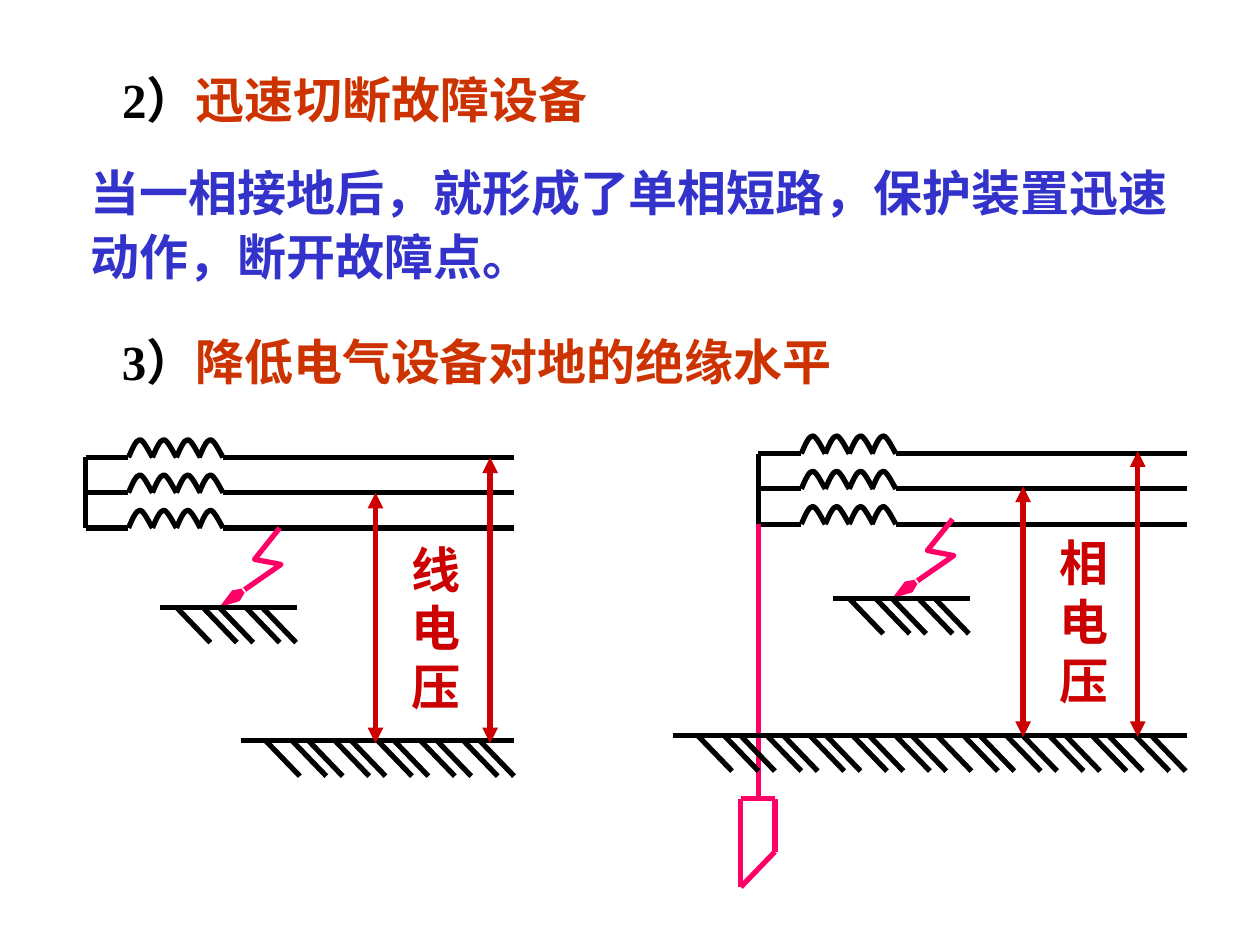
import itertools
from dataclasses import dataclass

import pptx
import pptx.dml.color
import pptx.enum.shapes
import pptx.enum.text
import pptx.oxml.ns
import pptx.util
from lxml import etree

PX = 9144  # EMU in one px, 100 px to the inch


@dataclass(frozen=True)
class Theme:
    font: str = "Times New Roman"
    text_size: int = 28
    line_width: int = 3
    number: str = "000000"
    heading: str = "CC3300"
    body: str = "3333CC"
    wire: str = "000000"
    fault: str = "FF0066"
    voltage: str = "CC0000"


TRIANGLE = {"type": "triangle"}
FLASH_TIP = {"type": "arrow", "w": "sm", "len": "lg"}


def add_xml(parent, tag, **attributes):
    return etree.SubElement(parent, pptx.oxml.ns.qn(tag), **attributes)


class SlideBuilder:
    def __init__(self, slide, theme):
        self.slide = slide
        self.theme = theme
        self.target = slide.shapes

    def start_group(self):
        self.target = self.slide.shapes.add_group_shape().shapes

    # Text
    def text(self, box, at, parts, space_before=0, line_spacing=1.0):
        """Fill a box with one paragraph made of (text, colour) parts."""
        box.left, box.top, box.width, box.height = (v * PX for v in at)
        frame = box.text_frame
        frame.word_wrap = True
        frame.vertical_anchor = pptx.enum.text.MSO_ANCHOR.TOP
        frame.auto_size = pptx.enum.text.MSO_AUTO_SIZE.SHAPE_TO_FIT_TEXT
        paragraph = frame.paragraphs[0]
        paragraph.alignment = pptx.enum.text.PP_ALIGN.LEFT
        paragraph.space_before = pptx.util.Pt(space_before)
        paragraph.line_spacing = line_spacing
        for words, color in parts:
            run = paragraph.add_run()
            run.text = words
            run.font.name = self.theme.font
            run.font.size = pptx.util.Pt(self.theme.text_size)
            run.font.bold = True
            run.font.color.rgb = pptx.dml.color.RGBColor.from_string(color)
        return paragraph

    def text_box(self, at, parts, **spacing):
        box = self.target.add_textbox(0, 0, PX, PX)
        self.text(box, at, parts, **spacing)

    def heading(self, box, top, number, words):
        parts = [(number, self.theme.number), (words, self.theme.heading)]
        self.text(box, (87, top, 913, 57), parts)

    def body(self, at, words):
        paragraph = self.text(self.slide.placeholders[1], at,
                              [(words, self.theme.body)],
                              space_before=7, line_spacing=1.1)
        properties = paragraph._p.get_or_add_pPr()
        properties.set("marL", "0")
        properties.set("indent", "0")
        add_xml(properties, "a:buNone")

    # Lines
    def stroke(self, shape, color, head=None, tail=None):
        shape.line.color.rgb = pptx.dml.color.RGBColor.from_string(color)
        shape.line.width = pptx.util.Pt(self.theme.line_width)
        outline = shape.element.spPr.find(pptx.oxml.ns.qn("a:ln"))
        for tag, arrow in (("a:headEnd", head), ("a:tailEnd", tail)):
            if arrow:
                add_xml(outline, tag, **arrow)
        add_xml(shape.element.spPr, "a:effectLst")

    def line(self, x1, y1, x2, y2, color, **ends):
        wire = self.target.add_connector(
            pptx.enum.shapes.MSO_CONNECTOR.STRAIGHT,
            x1 * PX, y1 * PX, x2 * PX, y2 * PX)
        self.stroke(wire, color, **ends)

    def path_line(self, x, y, offsets, color, **ends):
        start, *rest = [((x + dx) * PX, (y + dy) * PX) for dx, dy in offsets]
        builder = self.target.build_freeform(*start)
        builder.add_line_segments(rest, close=False)
        outline = builder.convert_to_shape()
        outline.fill.background()
        self.stroke(outline, color, **ends)
        return outline

    # Circuit parts
    def winding_turn(self, x, y):
        """One arch, 19 px wide and 14 px high, made of two Bezier curves."""
        points = [(0, 0), (3, -7), (6, -14), (9, -14),
                  (12, -14), (17, -3), (19, 0)]
        arch = self.path_line(x, y, points, self.theme.wire)
        segments = list(arch.element.iter(pptx.oxml.ns.qn("a:lnTo")))
        outline = segments[0].getparent()
        for first in (0, 3):
            curve = add_xml(outline, "a:cubicBezTo")
            for segment in segments[first:first + 3]:
                curve.append(segment[0])
                outline.remove(segment)

    def windings(self, x, y):
        """Three phases, each with a coil, joined at the neutral point."""
        for phase in range(3):
            level = y + 28 * phase
            for turn in range(4):
                self.winding_turn(x + 34 + round(18.75 * turn), level)
            self.line(x, level, x + 34, level, self.theme.wire)
            self.line(x + 109, level, x + 340, level, self.theme.wire)
        self.line(x, y, x, y + 56, self.theme.wire)

    def ground(self, x, y, width, first, count):
        self.line(x, y, x + width, y, self.theme.wire)
        for i in range(count):
            hatch = x + first + 34 * (i // 2) + 21 * (i % 2)
            self.line(hatch, y, hatch + 27, y + 28, self.theme.wire)

    def earth_fault(self, x, y):
        """Flash from a phase at (x, y) down to a short piece of ground."""
        bolt = [(0, 0), (-20, 25), (1, 29), (-48, 63)]
        self.path_line(x, y, bolt, self.theme.fault, tail=FLASH_TIP)
        self.ground(x - 95, y + 63, 109, 13, 5)

    def voltages(self, x, y, name):
        """Two measuring arrows with the name of the voltage between them."""
        for dx, dy in ((0, 28), (91, 0)):
            self.line(x + dx, y + dy, x + dx, y + 227, self.theme.voltage,
                      head=TRIANGLE, tail=TRIANGLE)
        self.text_box((x + 19, y + 60, 49, 150),
                      [(name, self.theme.voltage)], space_before=17.5)

    def earth_electrode(self, x, y):
        self.line(x, y, x, y + 218, self.theme.fault)
        rod = [(-14, 218), (13, 218), (13, 260), (-14, 288), (-14, 218)]
        for (ax, ay), (bx, by) in itertools.pairwise(rod):
            self.line(x + ax, y + ay, x + bx, y + by, self.theme.fault)


def main():
    deck = pptx.Presentation()
    deck.slide_width, deck.slide_height = 1000 * PX, 750 * PX
    slide = deck.slides.add_slide(deck.slide_layouts[1])
    page = SlideBuilder(slide, Theme())

    # Headings and explanation
    page.heading(slide.shapes.title, 50, "2）", "迅速切断故障设备")
    page.body((62, 119, 888, 113),
              "当一相接地后，就形成了单相短路，保护装置迅速动作，断开故障点。")
    page.heading(slide.shapes.add_textbox(0, 0, PX, PX), 258,
                 "3）", "降低电气设备对地的绝缘水平")

    # Isolated neutral: line voltage to ground
    page.start_group()
    page.windings(68, 363)
    page.ground(191, 588, 217, 20, 11)
    page.earth_fault(222, 419)
    page.voltages(298, 363, "线电压")

    # Earthed neutral: phase voltage to ground
    page.start_group()
    page.windings(602, 360)
    page.earth_electrode(602, 416)
    for left in (534, 724):
        page.ground(left, 584, 218, 20, 11)
    page.earth_fault(756, 412)
    page.voltages(812, 358, "相电压")

    deck.save("out.pptx")


if __name__ == "__main__":
    main()
